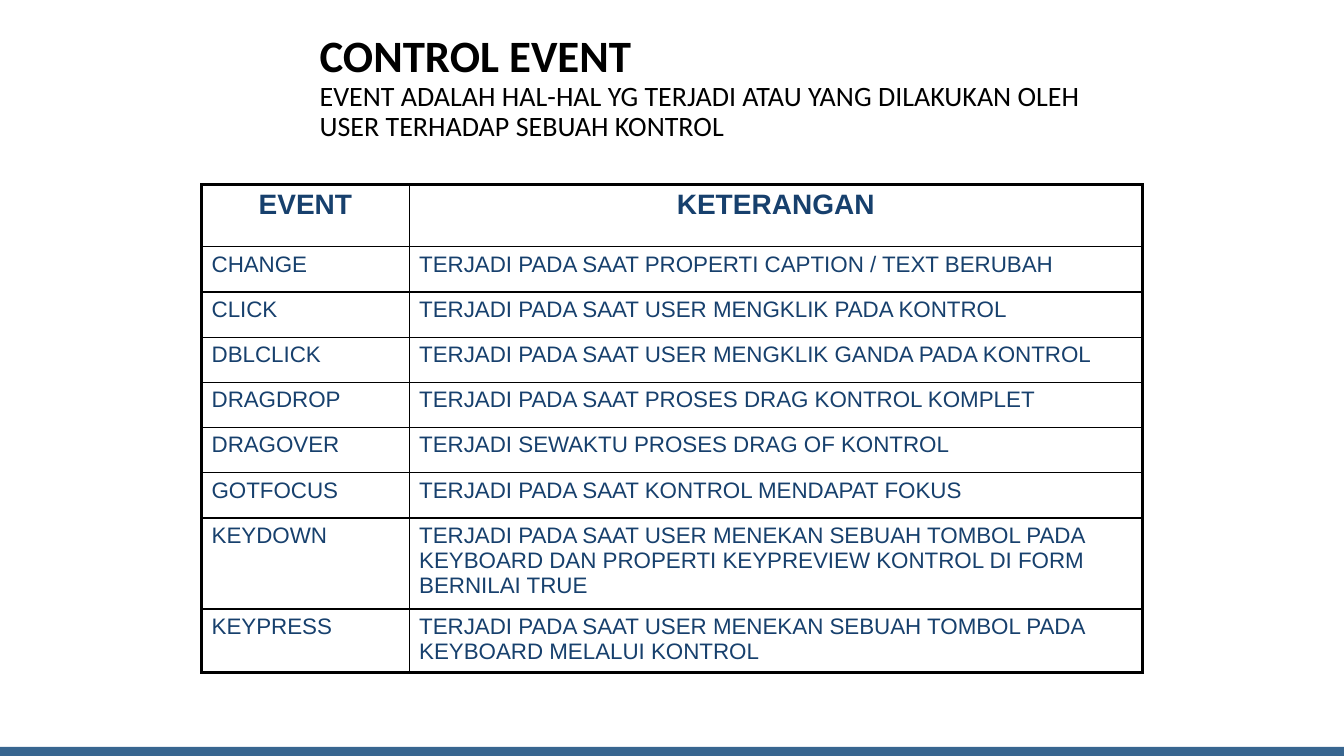
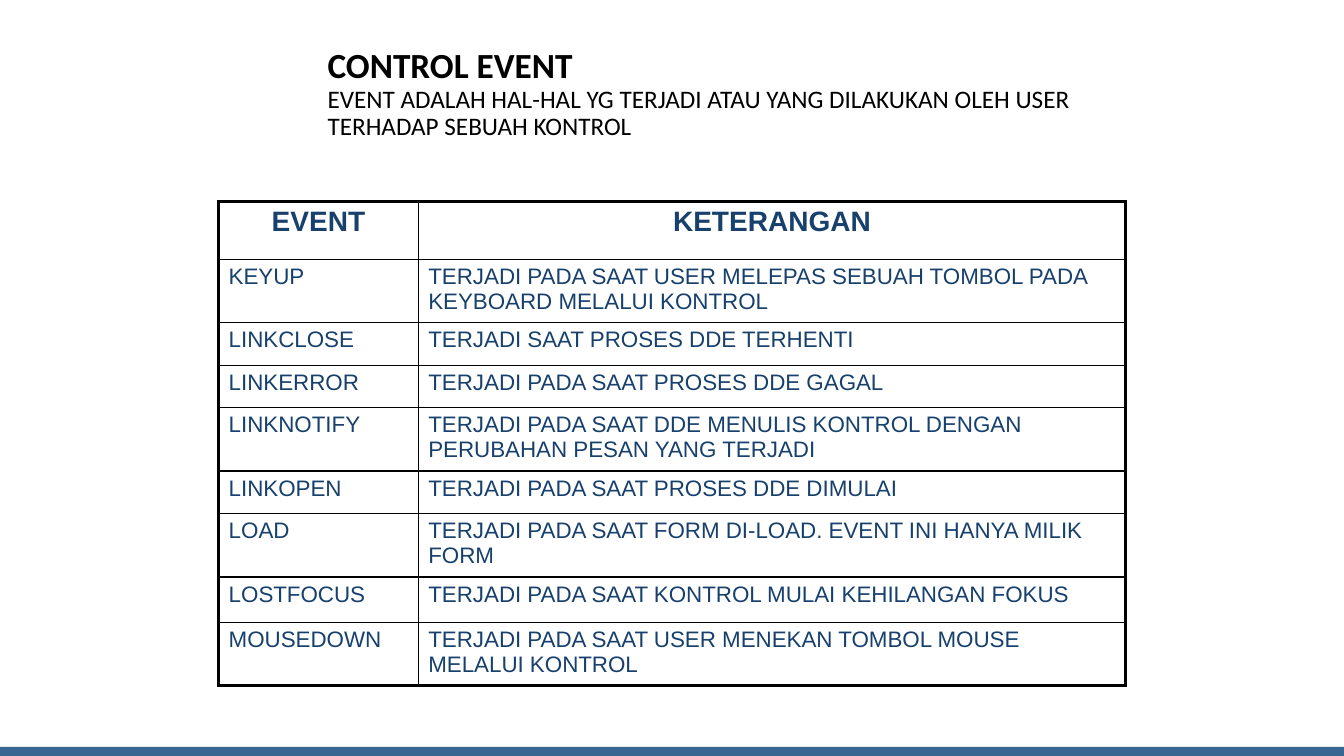
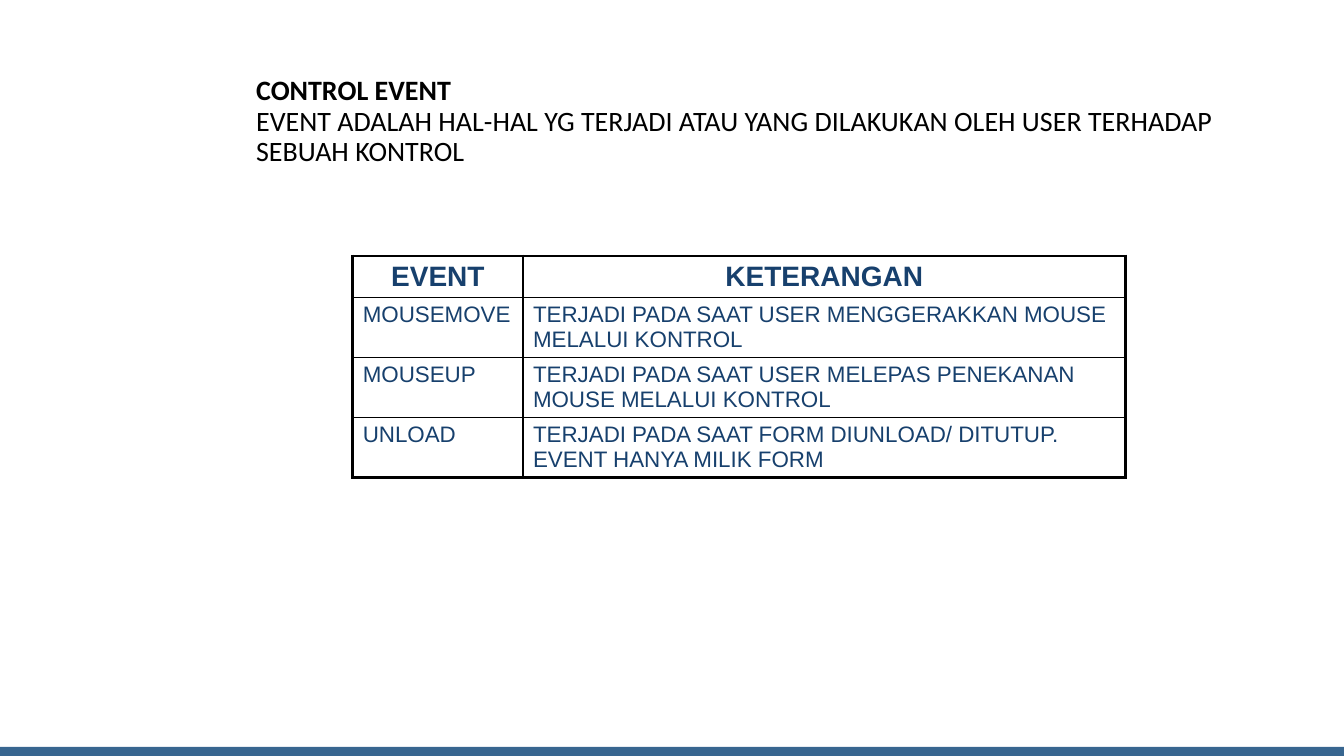
from copy import deepcopy

from lxml import etree
from pptx import Presentation
from pptx.dml.color import RGBColor
from pptx.enum import shapes, text
from pptx.oxml import ns
from pptx.util import Cm, Pt

BLACK = RGBColor(0x00, 0x00, 0x00)
NAVY = RGBColor(0x17, 0x40, 0x6D)
BAND_BLUE = RGBColor(0x38, 0x66, 0x90)

SLIDE_WIDTH, SLIDE_HEIGHT = Cm(33.87), Cm(19.05)
TITLE_HEIGHT = Cm(3.61)
OUTER_LINE, INNER_LINE = Pt(2.25), Pt(1)

HEADING = "CONTROL EVENT"
DEFINITION = (
    "EVENT ADALAH HAL-HAL YG TERJADI ATAU YANG DILAKUKAN OLEH USER "
    "TERHADAP SEBUAH KONTROL"
)
COLUMN_NAMES = ("EVENT", "KETERANGAN")

EVENTS_CHANGE_TO_KEYPRESS = [
    ("CHANGE", "TERJADI PADA SAAT PROPERTI CAPTION / TEXT BERUBAH"),
    ("CLICK", "TERJADI PADA SAAT USER MENGKLIK PADA KONTROL"),
    ("DBLCLICK", "TERJADI PADA SAAT USER MENGKLIK GANDA PADA KONTROL"),
    ("DRAGDROP", "TERJADI PADA SAAT PROSES DRAG KONTROL KOMPLET"),
    ("DRAGOVER", "TERJADI SEWAKTU PROSES DRAG OF KONTROL"),
    ("GOTFOCUS", "TERJADI PADA SAAT KONTROL MENDAPAT FOKUS"),
    ("KEYDOWN", "TERJADI PADA SAAT USER MENEKAN SEBUAH TOMBOL PADA KEYBOARD "
                "DAN PROPERTI KEYPREVIEW KONTROL DI FORM BERNILAI TRUE"),
    ("KEYPRESS", "TERJADI PADA SAAT USER MENEKAN SEBUAH TOMBOL PADA KEYBOARD "
                 "MELALUI KONTROL"),
]
EVENTS_KEYUP_TO_MOUSEDOWN = [
    ("KEYUP", "TERJADI PADA SAAT USER MELEPAS SEBUAH TOMBOL PADA KEYBOARD "
              "MELALUI KONTROL"),
    ("LINKCLOSE", "TERJADI SAAT PROSES DDE TERHENTI"),
    ("LINKERROR", "TERJADI PADA SAAT PROSES DDE GAGAL"),
    ("LINKNOTIFY", "TERJADI PADA SAAT DDE MENULIS KONTROL DENGAN PERUBAHAN "
                   "PESAN YANG TERJADI"),
    ("LINKOPEN", "TERJADI PADA SAAT PROSES DDE DIMULAI"),
    ("LOAD", "TERJADI PADA SAAT FORM DI-LOAD. EVENT INI HANYA MILIK FORM"),
    ("LOSTFOCUS", "TERJADI PADA SAAT KONTROL MULAI KEHILANGAN FOKUS"),
    ("MOUSEDOWN", "TERJADI PADA SAAT USER MENEKAN TOMBOL MOUSE MELALUI KONTROL"),
]
EVENTS_MOUSEMOVE_TO_UNLOAD = [
    ("MOUSEMOVE", "TERJADI PADA SAAT USER MENGGERAKKAN MOUSE MELALUI KONTROL"),
    ("MOUSEUP", "TERJADI PADA SAAT USER MELEPAS PENEKANAN MOUSE MELALUI KONTROL"),
    ("UNLOAD", "TERJADI PADA SAAT FORM DIUNLOAD/ DITUTUP. EVENT HANYA MILIK FORM"),
]


def add_run(paragraph, words, font_name, size, color, bold):
    run = paragraph.add_run()
    run.text = words
    run.font.name = font_name
    run.font.size = Pt(size)
    run.font.color.rgb = color
    run.font.bold = bold


def add_master_band(prs, slide):
    band = slide.shapes.add_shape(
        shapes.MSO_SHAPE.RECTANGLE, 0, Cm(18.82), SLIDE_WIDTH, Cm(0.63))
    band.shadow.inherit = False
    band.fill.solid()
    band.fill.fore_color.rgb = BAND_BLUE
    band.line.fill.background()
    prs.slide_master.shapes.element.insert(2, band.element)


def set_title(slide, left, top, width, heading_size, definition_size):
    title = slide.shapes.title
    title.left, title.top = Cm(left), Cm(top)
    title.width, title.height = Cm(width), TITLE_HEIGHT
    frame = title.text_frame
    frame.word_wrap = True
    frame.auto_size = text.MSO_AUTO_SIZE.NONE
    frame.vertical_anchor = text.MSO_ANCHOR.MIDDLE
    paragraph = frame.paragraphs[0]
    paragraph.alignment = text.PP_ALIGN.LEFT
    paragraph.line_spacing = 0.9
    add_run(paragraph, HEADING, "Calibri", heading_size, BLACK, True)
    paragraph.add_line_break()
    heading_format = next(title.element.iter(ns.qn("a:rPr")))
    line_break = next(title.element.iter(ns.qn("a:br")))
    line_break.append(deepcopy(heading_format))
    add_run(paragraph, DEFINITION, "Calibri", definition_size, BLACK, False)


def set_borders(cell, widths):
    properties = cell._tc.get_or_add_tcPr()
    for side, width in zip("LRTB", widths):
        border = etree.SubElement(properties, ns.qn(f"a:ln{side}"), w=str(width))
        fill = etree.SubElement(border, ns.qn("a:solidFill"))
        etree.SubElement(fill, ns.qn("a:srgbClr"), val=str(BLACK))


def add_event_table(slide, left, top, column_widths, row_heights, events):
    rows = [COLUMN_NAMES, *events]
    table = slide.shapes.add_table(
        len(rows), len(COLUMN_NAMES), Cm(left), Cm(top),
        Cm(sum(column_widths)), Cm(sum(row_heights))).table
    table.first_row = table.horz_banding = False
    for column, width in zip(table.columns, column_widths):
        column.width = Cm(width)
    last_row, last_column = len(rows) - 1, len(COLUMN_NAMES) - 1
    for r, (entry, height) in enumerate(zip(rows, row_heights)):
        table.rows[r].height = Cm(height)
        is_header = r == 0
        for c, words in enumerate(entry):
            cell = table.cell(r, c)
            on_edge = (c == 0, c == last_column, is_header, r == last_row)
            set_borders(cell, [OUTER_LINE if edge else INNER_LINE for edge in on_edge])
            cell.fill.background()
            paragraph = cell.text_frame.paragraphs[0]
            paragraph.alignment = (
                text.PP_ALIGN.CENTER if is_header else text.PP_ALIGN.LEFT)
            add_run(paragraph, words, "Arial", 20 if is_header else 16, NAVY, is_header)


def main():
    prs = Presentation()
    prs.slide_width, prs.slide_height = SLIDE_WIDTH, SLIDE_HEIGHT
    title_only = prs.slide_layouts[5]
    pages = [
        ((7.8, 0.41, 20.62, 32, 20),
         (5.08, 4.65, (5.23, 18.48), [1.57] + [1.14] * 6 + [2.29, 1.6],
          EVENTS_CHANGE_TO_KEYPRESS)),
        ((8, 0.58, 19.48, 25.2, 18),
         (5.51, 5.08, (5.03, 17.83),
          [1.45, 1.6, 1.07, 1.07, 1.6, 1.07, 1.6, 1.14, 1.6],
          EVENTS_KEYUP_TO_MOUSEDOWN)),
        ((6.2, 1.27, 25.96, 20, 20),
         (8.89, 6.45, (4.29, 15.19), [1.05] + [1.51] * 3,
          EVENTS_MOUSEMOVE_TO_UNLOAD)),
    ]
    for title_layout, table_layout in pages:
        slide = prs.slides.add_slide(title_only)
        set_title(slide, *title_layout)
        add_event_table(slide, *table_layout)
    add_master_band(prs, prs.slides[0])
    prs.save("out.pptx")


if __name__ == "__main__":
    main()
